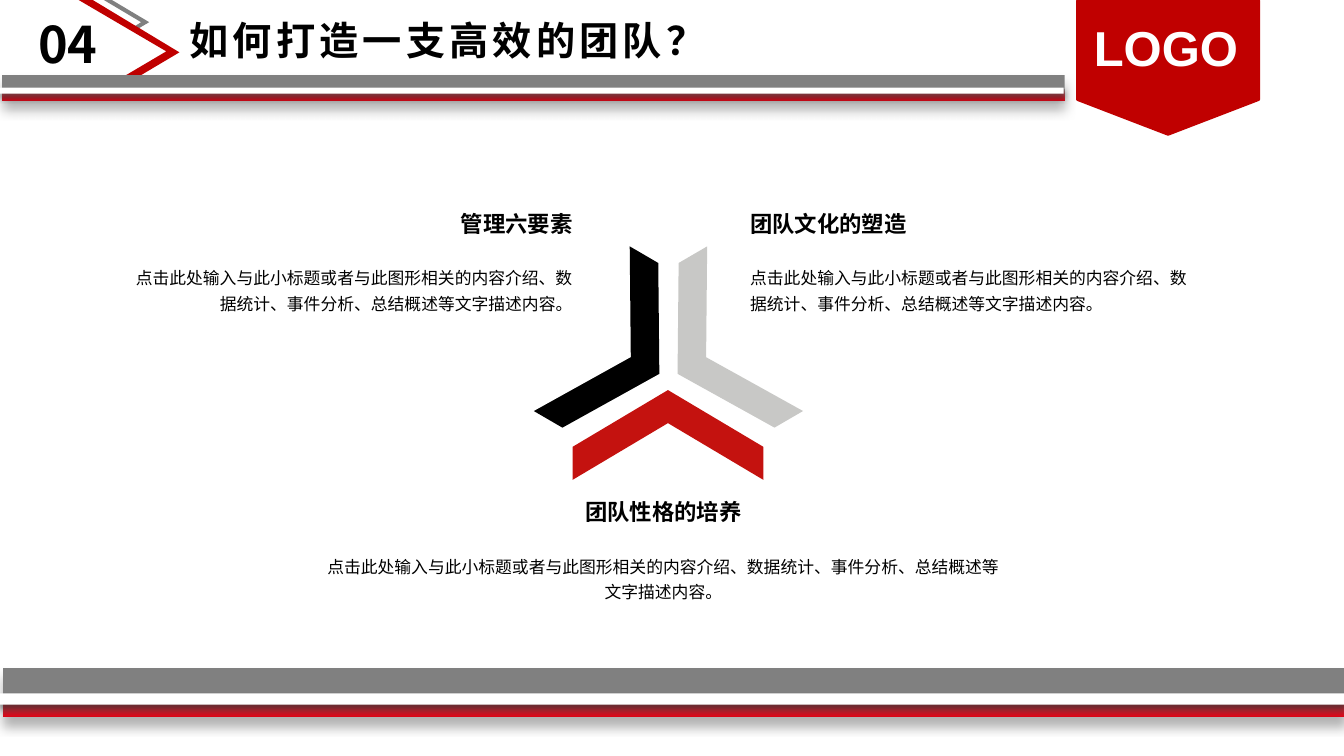
from dataclasses import dataclass
from typing import Optional

import pptx
import pptx.dml.color
import pptx.enum.shapes
import pptx.enum.text
import pptx.oxml
import pptx.oxml.ns
import pptx.util

RGBColor = pptx.dml.color.RGBColor
Inches = pptx.util.Inches
MSO = pptx.enum.shapes.MSO_SHAPE
ALIGN = pptx.enum.text.PP_ALIGN

BLACK = RGBColor(0x00, 0x00, 0x00)
WHITE = RGBColor(0xFF, 0xFF, 0xFF)
GRAY = RGBColor(0x80, 0x80, 0x80)
SILVER = RGBColor(0xC8, 0xC8, 0xC6)
RED = RGBColor(0xC4, 0x12, 0x0F)
DARK_RED = RGBColor(0xC0, 0x00, 0x00)
BRIGHT_RED = RGBColor(0xD9, 0x06, 0x17)

CJK = "Noto Sans CJK SC"
BODY = "点击此处输入与此小标题或者与此图形相关的内容介绍、数据统计、事件分析、总结概述等文字描述内容。"


@dataclass
class Shadow:
    alpha: int
    blur: float
    dist: float


@dataclass
class Bar:
    box: tuple
    gap: tuple


@dataclass
class Arrow:
    color: RGBColor
    points: list


@dataclass
class Arm:
    left: float
    top: float
    rotation: float
    color: RGBColor
    flip: bool = False


@dataclass
class Topic:
    title: str
    title_left: float
    body_left: float
    body_width: float
    top: float
    align: ALIGN


BAND_SHADOW = Shadow(30, 8, 6)
GAP_SHADOW = Shadow(40, 4, 3)

BARS = [
    Bar((0.02, 0.74, 10.54, 0.26), (-0.01, 0.87, 10.56, 0.06)),
    Bar((0.03, 6.63, 13.3, 0.48), (0, 6.88, 13.33, 0.11)),
]
ARROWS = [
    Arrow(GRAY, [(103, 0), (111, 0), (148, 22), (136, 29), (129, 29), (140, 22)]),
    Arrow(DARK_RED, [(78, 0), (92, 0), (178, 52), (119, 87), (104, 87), (165, 51)]),
]
ARMS = [
    Arm(6.18, 3.37, 270, RED),
    Arm(5.71, 2.54, 30.2, BLACK),
    Arm(6.66, 2.54, 329.8, SILVER, flip=True),
]
TOPICS = [
    Topic("管理六要素", 2.02, 1.26, 4.42, 1.97, ALIGN.RIGHT),
    Topic("团队文化的塑造", 7.44, 7.44, 4.42, 1.97, ALIGN.LEFT),
    Topic("团队性格的培养", 4.75, 3.23, 6.7, 4.83, ALIGN.CENTER),
]


def paint(sp, color: RGBColor) -> None:
    sp.shadow.inherit = False
    sp.fill.solid()
    sp.fill.fore_color.rgb = color
    sp.line.fill.background()


def add_shape(s, kind: MSO, box: tuple, color: RGBColor, rotation: float = 0,
              adj: Optional[float] = None, shadow: Optional[Shadow] = None):
    sp = s.shapes.add_shape(kind, *map(Inches, box))
    paint(sp, color)
    sp.rotation = rotation
    if adj is not None:
        sp.adjustments[0] = adj
    if shadow:
        effects = sp._element.spPr.find(pptx.oxml.ns.qn("a:effectLst"))
        effects.append(pptx.oxml.parse_xml(
            f'<a:outerShdw {pptx.oxml.ns.nsdecls("a")} blurRad="{int(shadow.blur * 12700)}" '
            f'dist="{int(shadow.dist * 12700)}" dir="5400000" algn="t" rotWithShape="0">'
            f'<a:srgbClr val="{BLACK}"><a:alpha val="{shadow.alpha * 1000}"/></a:srgbClr>'
            '</a:outerShdw>'))
    return sp


def add_bar(s, bar: Bar) -> None:
    sp = add_shape(s, MSO.RECTANGLE, bar.box, GRAY, shadow=BAND_SHADOW)
    stops = "".join(f'<a:gs pos="{pos * 1000}"><a:srgbClr val="{color}"/></a:gs>'
                    for pos, color in [(0, GRAY), (55, GRAY), (100, BRIGHT_RED)])
    spPr = sp._element.spPr
    spPr.replace(spPr.find(pptx.oxml.ns.qn("a:solidFill")), pptx.oxml.parse_xml(
        f'<a:gradFill {pptx.oxml.ns.nsdecls("a")} rotWithShape="1"><a:gsLst>{stops}</a:gsLst>'
        '<a:lin ang="5400000" scaled="0"/></a:gradFill>'))
    add_shape(s, MSO.RECTANGLE, bar.gap, WHITE, shadow=GAP_SHADOW)


def add_arrow(s, arrow: Arrow) -> None:
    fb = s.shapes.build_freeform(*arrow.points[0], scale=Inches(0.01))
    fb.add_line_segments(arrow.points[1:], close=True)
    paint(fb.convert_to_shape(), arrow.color)


def add_arm(s, arm: Arm) -> None:
    sp = add_shape(s, MSO.CHEVRON, (arm.left, arm.top, 0.89, 1.89), arm.color, arm.rotation, 0.632)
    if arm.flip:
        sp._element.spPr.xfrm.set("flipH", "1")


def add_text(s, text: str, box: tuple, *, size: float, font: str = "Arial", bold: bool = False,
             color: RGBColor = BLACK, align: ALIGN = ALIGN.LEFT, inset: float = 0.1,
             line_spacing: float = 1.0, tracking: float = 0) -> None:
    tf = s.shapes.add_textbox(*map(Inches, box)).text_frame
    tf.word_wrap = True
    tf.auto_size = pptx.enum.text.MSO_AUTO_SIZE.SHAPE_TO_FIT_TEXT
    tf.margin_left = tf.margin_right = Inches(inset)
    p = tf.paragraphs[0]
    p.alignment = align
    p.line_spacing = line_spacing
    r = p.add_run()
    r.text = text
    r.font.size = pptx.util.Pt(size)
    r.font.bold = bold
    r.font.color.rgb = color
    r.font.name = font
    rPr = r._r.get_or_add_rPr()
    rPr.append(pptx.oxml.parse_xml(f'<a:ea {pptx.oxml.ns.nsdecls("a")} typeface="{CJK}"/>'))
    if tracking:
        rPr.set("spc", str(int(tracking * 100)))


def add_topic(s, topic: Topic) -> None:
    style = dict(align=topic.align, inset=0, line_spacing=1.25)
    add_text(s, BODY, (topic.body_left, topic.top + 0.59, topic.body_width, 0.58), size=12, **style)
    add_text(s, topic.title, (topic.title_left, topic.top, 3.66, 0.41), size=16, bold=True, **style)


def main() -> None:
    prs = pptx.Presentation()
    prs.slide_width, prs.slide_height = Inches(13.33), Inches(7.5)
    s = prs.slides.add_slide(prs.slide_layouts[6])
    for arrow in ARROWS:
        add_arrow(s, arrow)
    for bar in BARS:
        add_bar(s, bar)
    add_text(s, "如何打造一支高效的团队？", (1.78, 0.11, 5.67, 0.57),
             size=28, font=CJK, bold=True, tracking=3)
    badge = add_shape(s, MSO.PENTAGON, (10.92, -0.23, 1.33, 1.8), DARK_RED, 90, 0.26)
    badge.line.color.rgb = DARK_RED
    badge.line.width = pptx.util.Pt(1.75)
    add_text(s, "LOGO", (10.75, 0.12, 1.8, 0.69), size=35, bold=True, color=WHITE)
    add_text(s, "04", (0.28, 0.08, 0.87, 0.71), size=36, font=CJK, bold=True)
    for arm in ARMS:
        add_arm(s, arm)
    for topic in TOPICS:
        add_topic(s, topic)
    prs.save("out.pptx")


if __name__ == "__main__":
    main()
